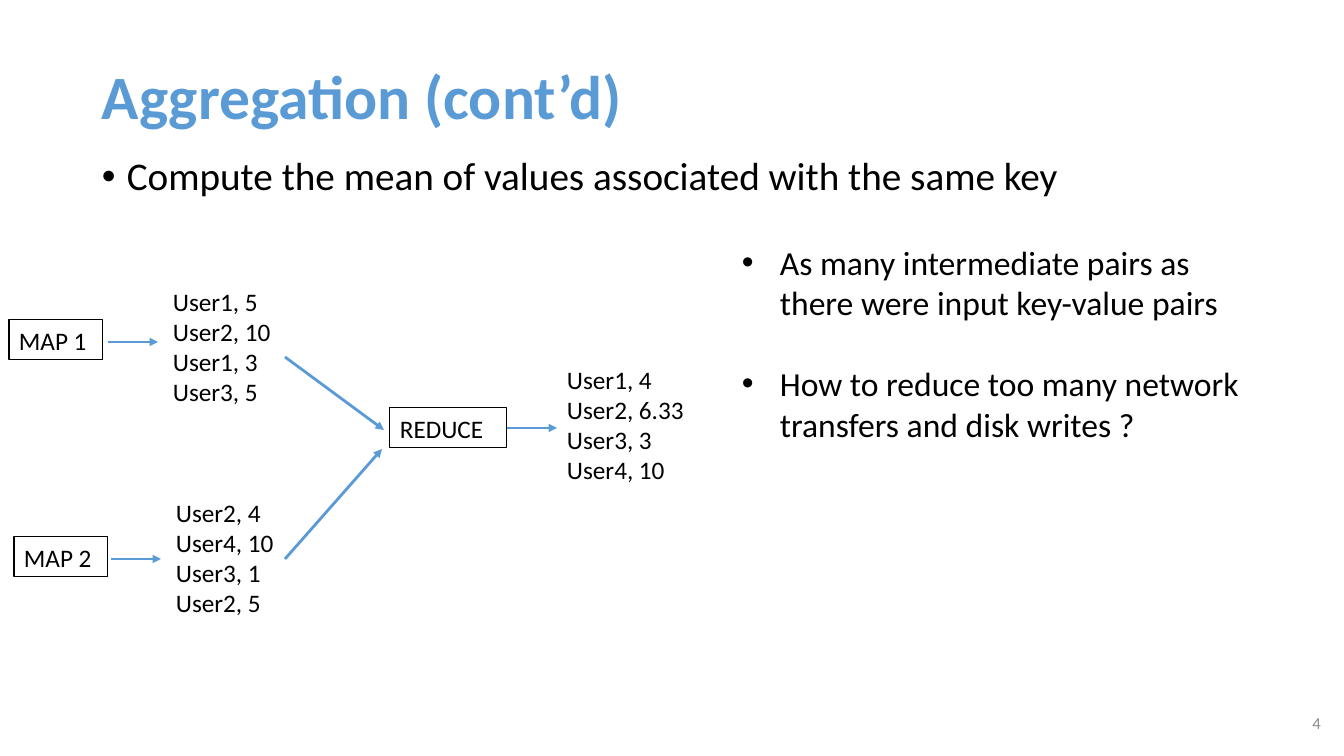
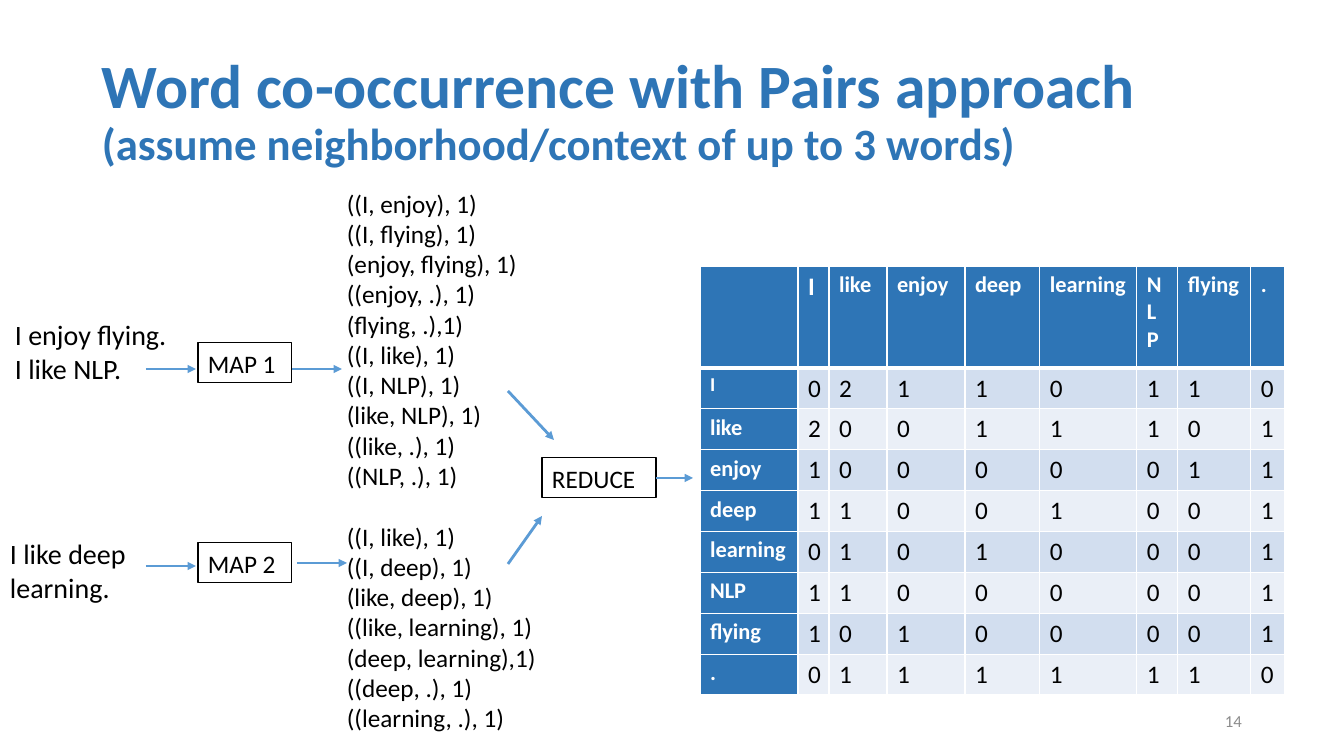
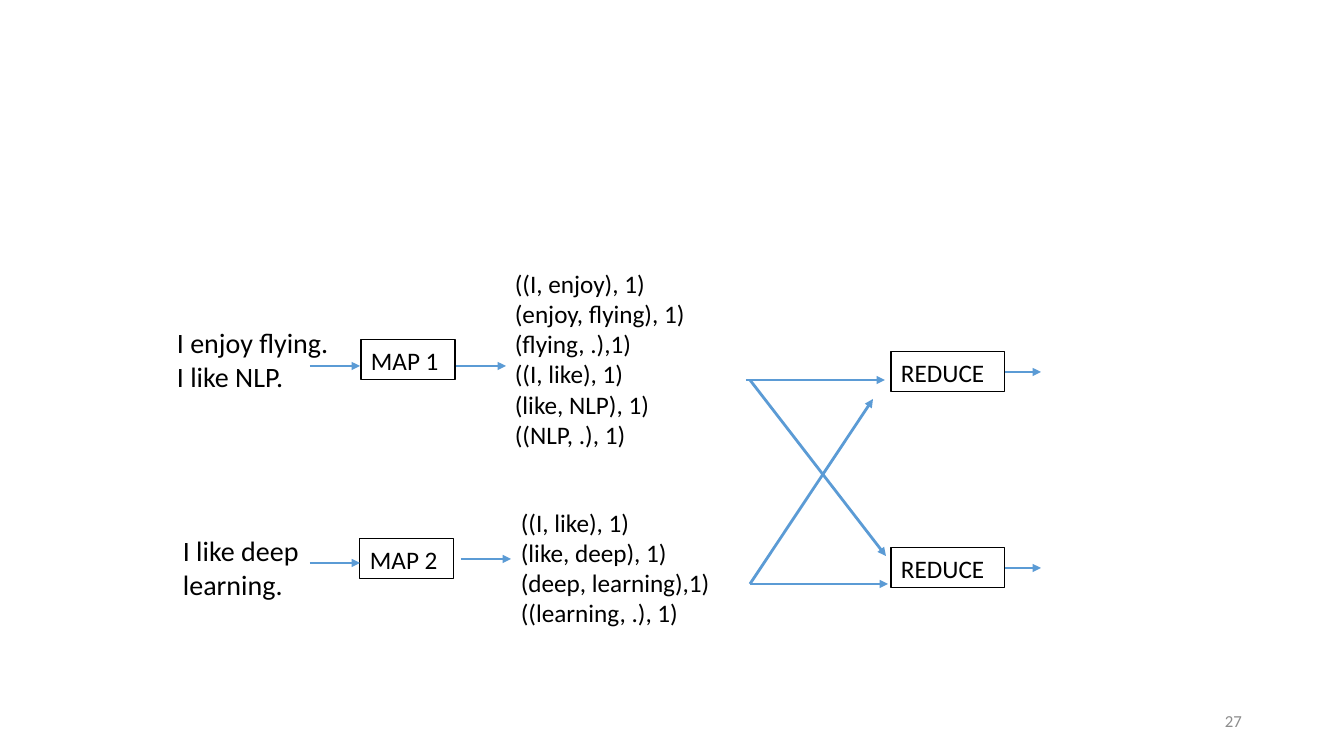
from lxml import etree
from pptx import Presentation
from pptx.dml.color import RGBColor
from pptx.enum.shapes import MSO_CONNECTOR, MSO_SHAPE
from pptx.enum.text import MSO_ANCHOR, MSO_AUTO_SIZE, PP_ALIGN
from pptx.oxml.ns import qn
from pptx.util import Pt

RECT = MSO_SHAPE.RECTANGLE
LINE = MSO_CONNECTOR.STRAIGHT
TOP, MIDDLE = MSO_ANCHOR.TOP, MSO_ANCHOR.MIDDLE
LEFT, RIGHT = PP_ALIGN.LEFT, PP_ALIGN.RIGHT
GROW = MSO_AUTO_SIZE.SHAPE_TO_FIT_TEXT
FIXED = MSO_AUTO_SIZE.NONE
SCALE = 914400 / 100.8
FONT = "Calibri"
COLORS = {
    "ink": "000000", "paper": "FFFFFF", "blue": "5B9BD5", "deep": "2E75B6",
    "gray": "8C8C8C", "odd": "D2DEEF", "even": "EAEFF7",
}


def px(n):
    return round(n * SCALE)


def rgb(name):
    return RGBColor.from_string(COLORS[name])


class Deck:
    def __init__(self):
        self.prs = Presentation()
        self.prs.slide_width, self.prs.slide_height = px(1344), px(756)
        self.slide = None

    def page(self, number, left=950, top=701):
        self.slide = self.prs.slides.add_slide(self.prs.slide_layouts[6])
        box = self.slide.shapes.add_textbox(px(left), px(top), px(302), px(40))
        frame = self.frame(box, MIDDLE, FIXED)
        para = frame.paragraphs[0]
        para.alignment = RIGHT
        self.run(para, number, 12, "gray")

    def frame(self, shape, anchor=TOP, fit=GROW):
        frame = shape.text_frame
        frame.word_wrap = True
        frame.auto_size = fit
        frame.vertical_anchor = anchor
        return frame

    def run(self, para, text, size=18, color="ink", bold=False):
        run = para.add_run()
        run.text = text
        font = run.font
        font.name, font.size, font.bold = FONT, Pt(size), bold
        font.color.rgb = rgb(color)

    def title(self, color, high, *lines):
        box = self.slide.shapes.add_textbox(px(92), px(40), px(1160), px(high))
        para = self.frame(box, MIDDLE, FIXED).paragraphs[0]
        para.line_spacing = 0.9
        for i, (text, size) in enumerate(lines):
            if i:
                para.add_line_break()
            self.run(para, text, size, color, True)

    def text(self, left, top, wide, high, lines, size=18):
        box = self.slide.shapes.add_textbox(px(left), px(top), px(wide), px(high))
        frame = self.frame(box)
        for i, line in enumerate(lines):
            para = frame.add_paragraph() if i else frame.paragraphs[0]
            self.run(para, line, size)
        return frame

    def bullets(self, left, top, wide, high, lines, size, indent, gap, pitch=1.0):
        frame = self.text(left, top, wide, high, lines, size)
        frame.auto_size = FIXED
        for para in frame.paragraphs:
            para.space_before, para.line_spacing = Pt(gap), pitch
            props = para._p.get_or_add_pPr()
            props.set("marL", str(px(indent)))
            props.set("indent", str(-px(indent)))
            etree.SubElement(props, qn("a:buFont"), typeface="Arial")
            etree.SubElement(props, qn("a:buChar"), char="•")
        frame.paragraphs[0].space_before = Pt(0)

    def box(self, left, top, wide, label):
        shape = self.slide.shapes.add_shape(RECT, px(left), px(top), px(wide), px(40))
        shape.shadow.inherit = False
        shape.fill.background()
        shape.line.color.rgb = rgb("ink")
        shape.line.width = Pt(0.75)
        para = self.frame(shape).paragraphs[0]
        para.alignment = LEFT
        self.run(para, label)

    def arrows(self, *ends):
        for end in ends:
            link = self.slide.shapes.add_connector(LINE, *map(px, end))
            link.line.color.rgb = rgb("blue")
            link.line.width = Pt(2)
            etree.SubElement(link.line._get_or_add_ln(), qn("a:tailEnd"), type="triangle")
            etree.SubElement(link._element.spPr, qn("a:effectLst"))

    def edge(self, cell, side, width):
        props = cell._tc.get_or_add_tcPr()
        line = etree.SubElement(props, qn("a:ln" + side), w=str(Pt(width)))
        fill = etree.SubElement(line, qn("a:solidFill"))
        etree.SubElement(fill, qn("a:srgbClr"), val=COLORS["paper"])

    def table(self, left, top, cols, rows, cells):
        shape = self.slide.shapes.add_table(
            len(rows), len(cols), px(left), px(top), px(sum(cols)), px(sum(rows)))
        grid = shape.table
        for col, wide in zip(grid.columns, cols):
            col.width = px(wide)
        for row, high in zip(grid.rows, rows):
            row.height = px(high)
        for r, line in enumerate(cells):
            for c, text in enumerate(line):
                cell = grid.cell(r, c)
                for side in "LRTB":
                    thick = (r, side) in ((0, "B"), (1, "T"))
                    self.edge(cell, side, 3 if thick else 1)
                head = r == 0 or c == 0
                cell.fill.solid()
                cell.fill.fore_color.rgb = rgb("deep" if head else "odd" if r % 2 else "even")
                size = 16 if head else 18
                if text == "I":
                    size = 14 if r else 18
                if text:
                    self.run(cell.text_frame.paragraphs[0], text, size,
                             "paper" if head else "ink", head)


FIRST = ["I enjoy flying.", "I like NLP."]
SECOND = ["I like deep", "learning."]

deck = Deck()

deck.page("4", 1029, 703)
deck.title("blue", 120, ("Aggregation (cont’d)", 44))
deck.bullets(92, 152, 1160, 501,
             ["Compute the mean of values associated with the same key"], 28, 25, 10, 0.9)
deck.box(9, 320, 94, "MAP 1")
deck.box(14, 537, 94, "MAP 2")
deck.box(390, 408, 117, "REDUCE")
deck.arrows((285, 357, 384, 430), (285, 559, 382, 449), (507, 428, 557, 428),
            (108, 342, 158, 342), (111, 559, 161, 559))
for left, top, pairs in (
    (163, 281, ["User1, 5", "User2, 10", "User1, 3", "User3, 5"]),
    (166, 492, ["User2, 4", "User4, 10", "User3, 1", "User2, 5"]),
    (557, 359, ["User1, 4", "User2, 6.33", "User3, 3", "User4, 10"]),
):
    deck.text(left, top, 149, 132, pairs)
deck.bullets(732, 237, 531, 254,
             ["As many intermediate pairs as there were input key-value pairs",
              "How to reduce too many network transfers and disk writes ?"], 24, 38, 29)

deck.page("14")
deck.title("deep", 146, ("Word co-occurrence with Pairs approach", 44),
           ("(assume neighborhood/context of up to 3 words)", 32))
words = ["I", "like", "enjoy", "deep", "learning", "NLP", "flying", "."]
counts = ["02110110", "20011101", "10000011", "11001001",
          "01010001", "11000001", "10100001", "01111110"]
deck.table(700, 266, [98, 31, 58, 78, 75, 97, 41, 73, 34], [102] + [40] * 8,
           [[""] + words] + [[word, *row] for word, row in zip(words, counts)])
deck.box(198, 343, 94, "MAP 1")
deck.box(198, 543, 94, "MAP 2")
deck.box(542, 458, 114, "REDUCE")
deck.arrows((508, 391, 554, 440), (508, 564, 542, 516), (656, 478, 693, 478),
            (146, 369, 196, 369), (297, 563, 347, 563),
            (146, 566, 196, 566), (292, 369, 342, 369))
deck.text(337, 183, 202, 316,
          ["((I, enjoy), 1)", "((I, flying), 1)", "(enjoy, flying), 1)",
           "((enjoy, .), 1)", "(flying, .),1)", "((I, like), 1)", "((I, NLP), 1)",
           "(like, NLP), 1)", "((like, .), 1)", "((NLP, .), 1)"])
deck.text(337, 516, 234, 254,
          ["((I, like), 1)", "((I, deep), 1)", "(like, deep), 1)",
           "((like, learning), 1)", "(deep, learning),1)", "((deep, .), 1)",
           "((learning, .), 1)"])
deck.text(5, 313, 198, 78, FIRST, 20)
deck.text(0, 532, 256, 78, SECOND, 20)

deck.page("27")
deck.box(361, 340, 94, "MAP 1")
deck.box(360, 539, 94, "MAP 2")
for top in (352, 548):
    deck.box(891, top, 114, "REDUCE")
    deck.arrows((1005, top + 20, 1041, top + 20))
deck.arrows((746, 380, 885, 380), (750, 584, 873, 399), (310, 366, 360, 366),
            (461, 559, 511, 559), (310, 563, 360, 563), (456, 366, 506, 366),
            (750, 584, 888, 584), (750, 380, 886, 556))
deck.text(505, 263, 240, 194,
          ["((I, enjoy), 1)", "(enjoy, flying), 1)", "(flying, .),1)",
           "((I, like), 1)", "(like, NLP), 1)", "((NLP, .), 1)"])
deck.text(511, 502, 234, 163,
          ["((I, like), 1)", "(like, deep), 1)", "(deep, learning),1)",
           "((learning, .), 1)"])
deck.text(167, 321, 198, 78, FIRST, 20)
deck.text(173, 529, 256, 78, SECOND, 20)

deck.prs.save("out.pptx")
